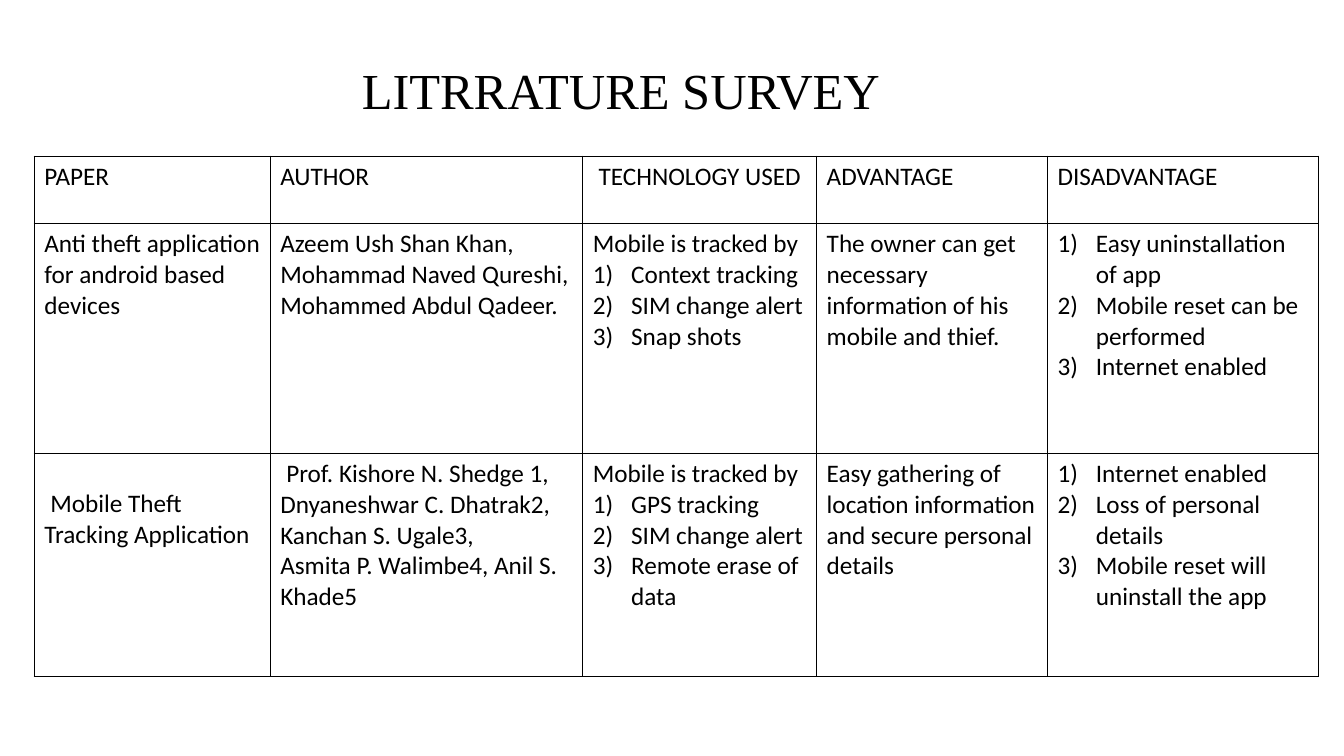
from dataclasses import dataclass

from lxml.etree import SubElement
from pptx import Presentation
from pptx.dml.color import RGBColor
from pptx.enum.text import MSO_AUTO_SIZE, PP_ALIGN
from pptx.oxml.ns import qn
from pptx.util import Inches, Pt

BLACK = RGBColor(0x00, 0x00, 0x00)
WHITE = RGBColor(0xFF, 0xFF, 0xFF)

TITLE_FONT = {"name": "Times New Roman", "size": Pt(36)}
CELL_FONT = {"name": "Calibri", "size": Pt(18)}
COLUMN_WIDTHS = [2.34, 3.1, 2.32, 2.29, 2.69]
ROW_HEIGHTS = [0.67, 2.28, 2.21]
NUMBER_INDENT = 0.38
BORDER_WIDTH = Pt(1)


@dataclass
class Entry:
    """Content of one table cell: plain paragraphs, then a numbered list."""
    lines: tuple[str, ...] = ()
    numbered: tuple[str, ...] = ()
    align: PP_ALIGN = PP_ALIGN.LEFT
    first_indent: float = 0
    top_margin: float = 0.05


SURVEY = [
    [
        Entry(("PAPER",)),
        Entry(("AUTHOR",)),
        Entry(("TECHNOLOGY USED",), align=PP_ALIGN.CENTER),
        Entry(("ADVANTAGE",)),
        Entry(("DISADVANTAGE",)),
    ],
    [
        Entry(("Anti theft application for android based devices",)),
        Entry(("Azeem Ush Shan Khan, Mohammad Naved Qureshi, Mohammed Abdul Qadeer.",)),
        Entry(("Mobile is tracked by",),
              ("Context tracking", "SIM change alert", "Snap shots")),
        Entry(("The owner can get necessary information of his mobile and thief.",)),
        Entry(numbered=("Easy uninstallation of app", "Mobile reset can be performed",
                        "Internet enabled")),
    ],
    [
        Entry(("Mobile Theft Tracking Application",), first_indent=0.06, top_margin=0.35),
        Entry(("Prof. Kishore N. Shedge 1, Dnyaneshwar C. Dhatrak2, Kanchan S. Ugale3,",
               "Asmita P. Walimbe4, Anil S. Khade5"), first_indent=0.06),
        Entry(("Mobile is tracked by",),
              ("GPS tracking", "SIM change alert", "Remote erase of data")),
        Entry(("Easy gathering of location information and secure personal details",)),
        Entry(numbered=("Internet enabled", "Loss of personal details",
                        "Mobile reset will uninstall the app")),
    ],
]


def add_span(para, text: str, font_values: dict) -> None:
    span = para.add_run()
    span.text = text
    for name, value in font_values.items():
        setattr(span.font, name, value)
    span.font.color.rgb = BLACK


def set_indent(para, left: float, first: float) -> None:
    properties = para._p.get_or_add_pPr()
    properties.set("marL", str(Inches(left)))
    properties.set("indent", str(Inches(first)))


def number_para(para) -> None:
    set_indent(para, NUMBER_INDENT, -NUMBER_INDENT)
    SubElement(para._p.get_or_add_pPr(), qn("a:buAutoNum"), type="arabicParenR")


def draw_borders(cell) -> None:
    properties = cell._tc.get_or_add_tcPr()
    for side in ("lnL", "lnR", "lnT", "lnB"):
        line = SubElement(properties, qn(f"a:{side}"), w=str(BORDER_WIDTH))
        fill = SubElement(line, qn("a:solidFill"))
        SubElement(fill, qn("a:srgbClr"), val=str(BLACK))


def fill_cell(cell, entry: Entry) -> None:
    draw_borders(cell)
    cell.fill.solid()
    cell.fill.fore_color.rgb = WHITE
    cell.margin_top = Inches(entry.top_margin)
    frame = cell.text_frame
    for index, text in enumerate(entry.lines + entry.numbered):
        para = frame.add_paragraph() if index else frame.paragraphs[0]
        para.alignment = entry.align
        if index >= len(entry.lines):
            number_para(para)
        elif index == 0 and entry.first_indent:
            set_indent(para, 0, entry.first_indent)
        add_span(para, text, CELL_FONT)


def add_survey_table(page) -> None:
    table = page.shapes.add_table(
        len(ROW_HEIGHTS), len(COLUMN_WIDTHS), Inches(0.34), Inches(1.55),
        Inches(sum(COLUMN_WIDTHS)), Inches(sum(ROW_HEIGHTS))).table
    table.first_row = table.horz_banding = False
    for column, width in zip(table.columns, COLUMN_WIDTHS):
        column.width = Inches(width)
    for row, height, entries in zip(table.rows, ROW_HEIGHTS, SURVEY):
        row.height = Inches(height)
        for cell, entry in zip(row.cells, entries):
            fill_cell(cell, entry)


def add_title(page) -> None:
    box = page.shapes.add_textbox(Inches(3.49), Inches(0.54), Inches(5.39), Inches(0.71))
    box.text_frame.word_wrap = False
    box.text_frame.auto_size = MSO_AUTO_SIZE.SHAPE_TO_FIT_TEXT
    add_span(box.text_frame.paragraphs[0], "LITRRATURE SURVEY", TITLE_FONT)


def main() -> None:
    deck = Presentation()
    deck.slide_width, deck.slide_height = Inches(13.33), Inches(7.5)
    page = deck.slides.add_slide(deck.slide_layouts[6])
    # Survey table below the title
    add_survey_table(page)
    add_title(page)
    deck.save("out.pptx")


if __name__ == "__main__":
    main()
